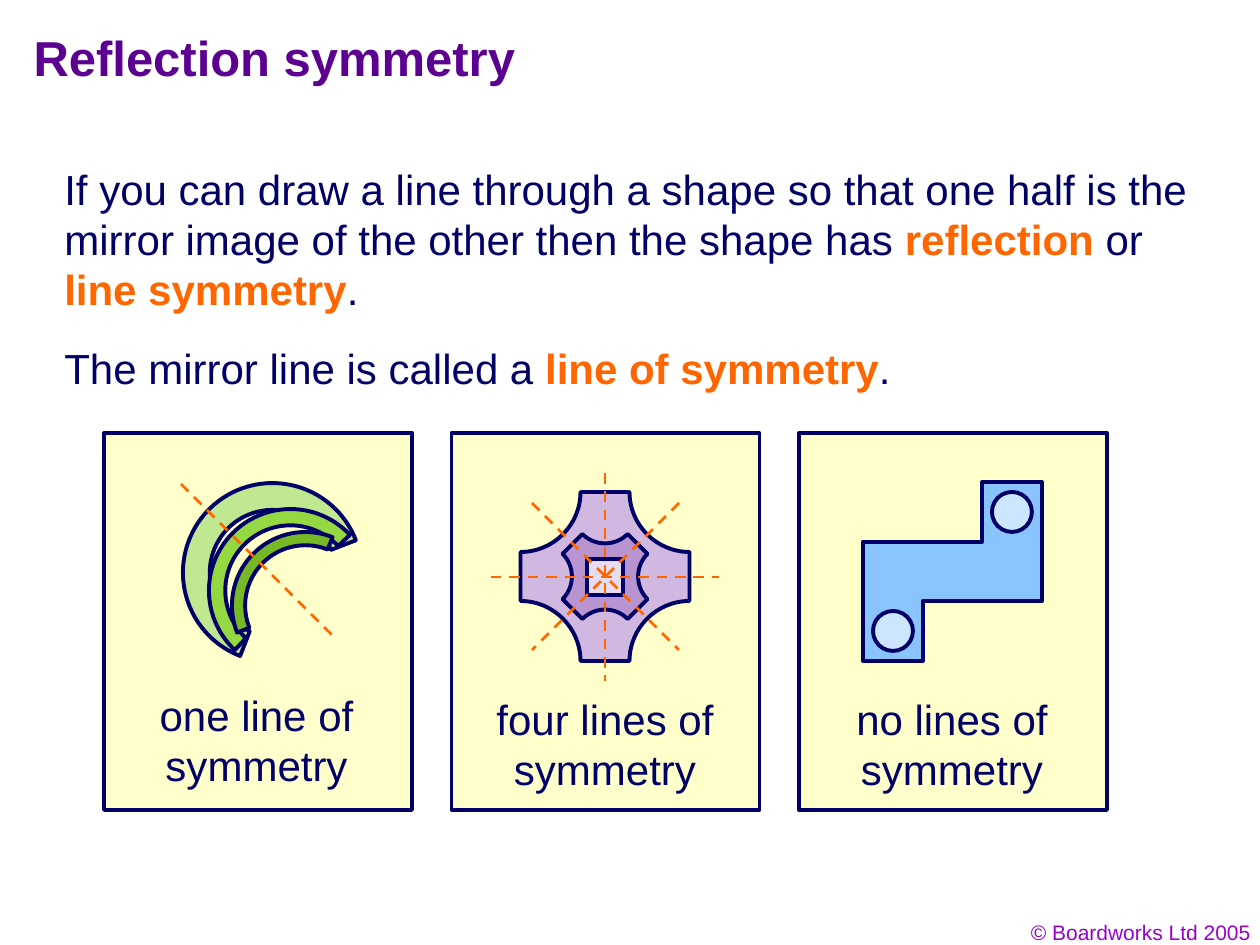
"""Build the slide on reflection symmetry."""
from math import cos, pi, sin

from lxml.etree import SubElement
from pptx import Presentation
from pptx.dml.color import RGBColor
from pptx.enum.dml import MSO_LINE
from pptx.enum.shapes import MSO_CONNECTOR, MSO_SHAPE
from pptx.enum.text import MSO_ANCHOR, PP_ALIGN
from pptx.oxml.ns import qn
from pptx.util import Pt

PX = 914400 / 126
NAVY, ORANGE = "010066", "FF6600"
color = RGBColor.from_string

deck = Presentation()
deck.slide_width, deck.slide_height = round(1260 * PX), round(945 * PX)
slide = deck.slides.add_slide(deck.slide_layouts[5])
shapes = slide.shapes


def paint(shape, fill):
    """Give a shape its fill and navy outline."""
    shape.shadow.inherit = False
    shape.fill.solid()
    shape.fill.fore_color.rgb = color(fill)
    shape.line.color.rgb = color("000066")
    shape.line.width = Pt(2.25)


def write(box, runs, size=24, tint=NAVY, align=PP_ALIGN.LEFT):
    """Fill a text box with (text, bold) runs."""
    frame = box.text_frame
    frame.word_wrap = True
    para = frame.paragraphs[0]
    para.alignment = align
    for text, bold in runs:
        run = para.add_run()
        run.text = text
        look = {"name": "Arial", "size": Pt(size), "bold": bold}
        for key, value in look.items():
            setattr(run.font, key, value)
        run.font.color.rgb = color(ORANGE if bold and tint == NAVY else tint)


title = shapes.title
place = {"left": 21, "top": 21, "width": 1071, "height": 84}
for key, value in place.items():
    setattr(title, key, round(value * PX))
title.text_frame.vertical_anchor = MSO_ANCHOR.MIDDLE
title.text_frame.margin_bottom = round(18 * PX)
write(title, [("Reflection symmetry", True)], 28, "5B0091")

for col in range(3):
    area = [round(v * PX) for v in (104 + 347.5 * col, 433, 308, 377)]
    paint(shapes.add_shape(MSO_SHAPE.RECTANGLE, *area), "FFFFCC")

arcs = [
    (183, 483, 179, (93.67, 14.33, 0.15), "C0E890"),
    (209, 509, 163, (106.84, 1.16, 0.1), "94D842"),
    (232, 532, 147, (122, 202, 0.09), "76B826"),
]
for x, y, size, bends, fill in arcs:
    area = [round(v * PX) for v in (x, y, size, size)]
    arc = shapes.add_shape(MSO_SHAPE.BLOCK_ARC, *area)
    for i, bend in enumerate(bends):
        arc.adjustments[i] = bend
    arc.rotation = 315
    paint(arc, fill)

outlines = []
for half, radius, turn, fill in [(84.5, 60, 0, "D0B8E0"), (46, 32, pi / 4, "B894D0")]:
    near, far = 0.55 * radius - half, radius - half
    points = []
    for side in range(4):
        spin = turn + side * pi / 2
        for x, y in [(-half, far), (near, far), (far, near), (far, -half)]:
            points.append((605 + x * cos(spin) - y * sin(spin),
                           576.5 + x * sin(spin) + y * cos(spin)))
    outlines.append((points, fill, True))
steps = [(3, 0), (2, 0), (2, 1), (0, 1), (0, 3), (1, 3), (1, 2), (3, 2)]
zigzag = [(863 + 179 * x / 3, 482 + 179 * y / 3) for x, y in steps]
outlines.append((zigzag, "89C4FF", False))
for points, fill, curved in outlines:
    spots = [(round(x * PX), round(y * PX)) for x, y in points]
    pen = shapes.build_freeform(*spots[0])
    pen.add_line_segments(spots[1:])
    form = pen.convert_to_shape()
    paint(form, fill)
    if curved:
        lines = list(form.element.iter(qn("a:lnTo")))
        for i in range(0, 16, 4):
            curve = lines[i].makeelement(qn("a:cubicBezTo"))
            lines[i].addprevious(curve)
            for line in lines[i:i + 3]:
                curve.append(line[0])
                line.getparent().remove(line)

for kind, x, y, size, fill in [
    (MSO_SHAPE.RECTANGLE, 587, 559, 36, "E8DCF0"),
    (MSO_SHAPE.OVAL, 873, 611, 40, "CDE6FF"),
    (MSO_SHAPE.OVAL, 992, 492, 40, "CDE6FF"),
]:
    area = [round(v * PX) for v in (x, y, size, size)]
    paint(shapes.add_shape(kind, *area), fill)

for ends in [
    (605, 473, 605, 681),
    (491, 577, 719, 577),
    (679, 503, 532, 650),
    (532, 503, 679, 650),
    (181, 484, 335, 638),
]:
    ends = [round(v * PX) for v in ends]
    axis = shapes.add_connector(MSO_CONNECTOR.STRAIGHT, *ends)
    axis.line.color.rgb = color(ORANGE)
    for key, value in {"width": Pt(1.5), "dash_style": MSO_LINE.DASH}.items():
        setattr(axis.line, key, value)
    SubElement(axis.element.spPr, qn("a:effectLst"))

rule = [
    ("If you can draw a line through a shape so that one half is the "
     "mirror image of the other then the shape has ", False),
    ("reflection ", True),
    ("or", False),
    (" line symmetry", True),
    (".", False),
]
name = [("The mirror line is called a ", False), ("line of symmetry", True), (".", False)]
mid = PP_ALIGN.CENTER
for area, runs, *look in [
    ((52, 157, 1183, 164), rule),
    ((52, 336, 1183, 63), name),
    ((141, 683, 231, 113), [("one line of symmetry", False)], 24, NAVY, mid),
    ((481, 687, 248, 113), [("four lines of symmetry", False)], 24, NAVY, mid),
    ((828, 687, 248, 113), [("no lines of symmetry", False)], 24, NAVY, mid),
    ((969, 913, 294, 38), [("© Boardworks Ltd 2005", False)], 12, "9900CC", PP_ALIGN.RIGHT),
]:
    write(shapes.add_textbox(*[round(v * PX) for v in area]), runs, *look)

deck.save("out.pptx")
